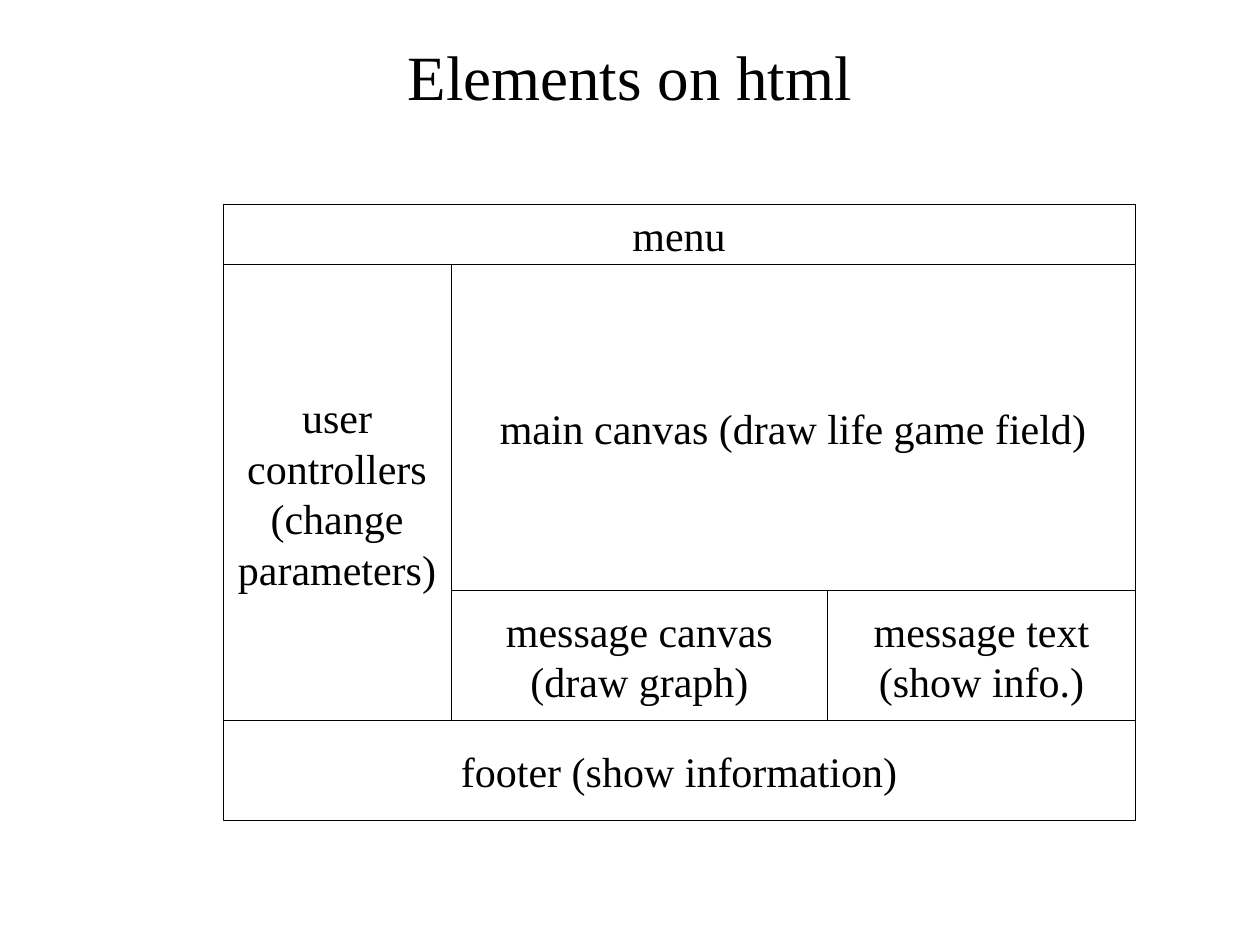
from dataclasses import dataclass

from pptx import Presentation
from pptx.dml.color import RGBColor
from pptx.enum.shapes import MSO_SHAPE
from pptx.enum.text import MSO_ANCHOR, PP_ALIGN
from pptx.util import Inches, Pt

RECTANGLE = MSO_SHAPE.RECTANGLE
MIDDLE = MSO_ANCHOR.MIDDLE
CENTER = PP_ALIGN.CENTER


@dataclass(frozen=True)
class Theme:
    font: str = "Times New Roman"
    ink: RGBColor = RGBColor(0, 0, 0)
    paper: RGBColor = RGBColor(255, 255, 255)
    title_size: int = 36
    label_size: int = 24
    line_width: float = 0.5
    inset: float = 0.04


class SlideBuilder:
    def __init__(self, page, theme):
        self.page = page
        self.theme = theme

    def set_text(self, frame, lines, size):
        frame.word_wrap = True
        frame.vertical_anchor = MIDDLE
        style = {"name": self.theme.font, "size": Pt(size), "bold": False}
        for index, line in enumerate(lines):
            para = frame.add_paragraph() if index else frame.paragraphs[0]
            para.alignment = CENTER
            span = para.add_run()
            span.text = line
            for key, value in style.items():
                setattr(span.font, key, value)
            span.font.color.rgb = self.theme.ink

    def title(self, text, left, top, width, height):
        title = self.page.shapes.title
        place = {"left": left, "top": top, "width": width, "height": height}
        for key, value in place.items():
            setattr(title, key, Inches(value))
        self.set_text(title.text_frame, [text], self.theme.title_size)

    def region(self, lines, left, top, right, bottom):
        edges = (left, top, right - left, bottom - top)
        box = self.page.shapes.add_shape(RECTANGLE, *map(Inches, edges))
        box.shadow.inherit = False
        box.fill.solid()
        box.fill.fore_color.rgb = self.theme.paper
        box.line.color.rgb = self.theme.ink
        box.line.width = Pt(self.theme.line_width)
        for side in ("left", "top", "right", "bottom"):
            setattr(box.text_frame, f"margin_{side}", Inches(self.theme.inset))
        self.set_text(box.text_frame, lines, self.theme.label_size)


def main():
    deck = Presentation()
    deck.slide_width = Inches(10)
    deck.slide_height = Inches(7.5)
    page = deck.slides.add_slide(deck.slide_layouts[5])
    builder = SlideBuilder(page, Theme())

    left, sidebar, divider, right = 1.77, 3.58, 6.57, 9.01
    top, body, messages, footer, bottom = 1.62, 2.1, 4.69, 5.72, 6.51
    regions = [
        (["user controllers", "(change parameters)"], left, body, sidebar, footer),
        (["menu"], left, top, right, body),
        (["main canvas (draw life game field)"], sidebar, body, right, messages),
        (["message canvas (draw graph)"], sidebar, messages, divider, footer),
        (["footer (show information)"], left, footer, right, bottom),
        (["message text", "(show info.)"], divider, messages, right, footer),
    ]
    builder.title("Elements on html", 0.5, -0.03, 9, 1.25)
    for region in regions:
        builder.region(*region)

    deck.save("out.pptx")


if __name__ == "__main__":
    main()
